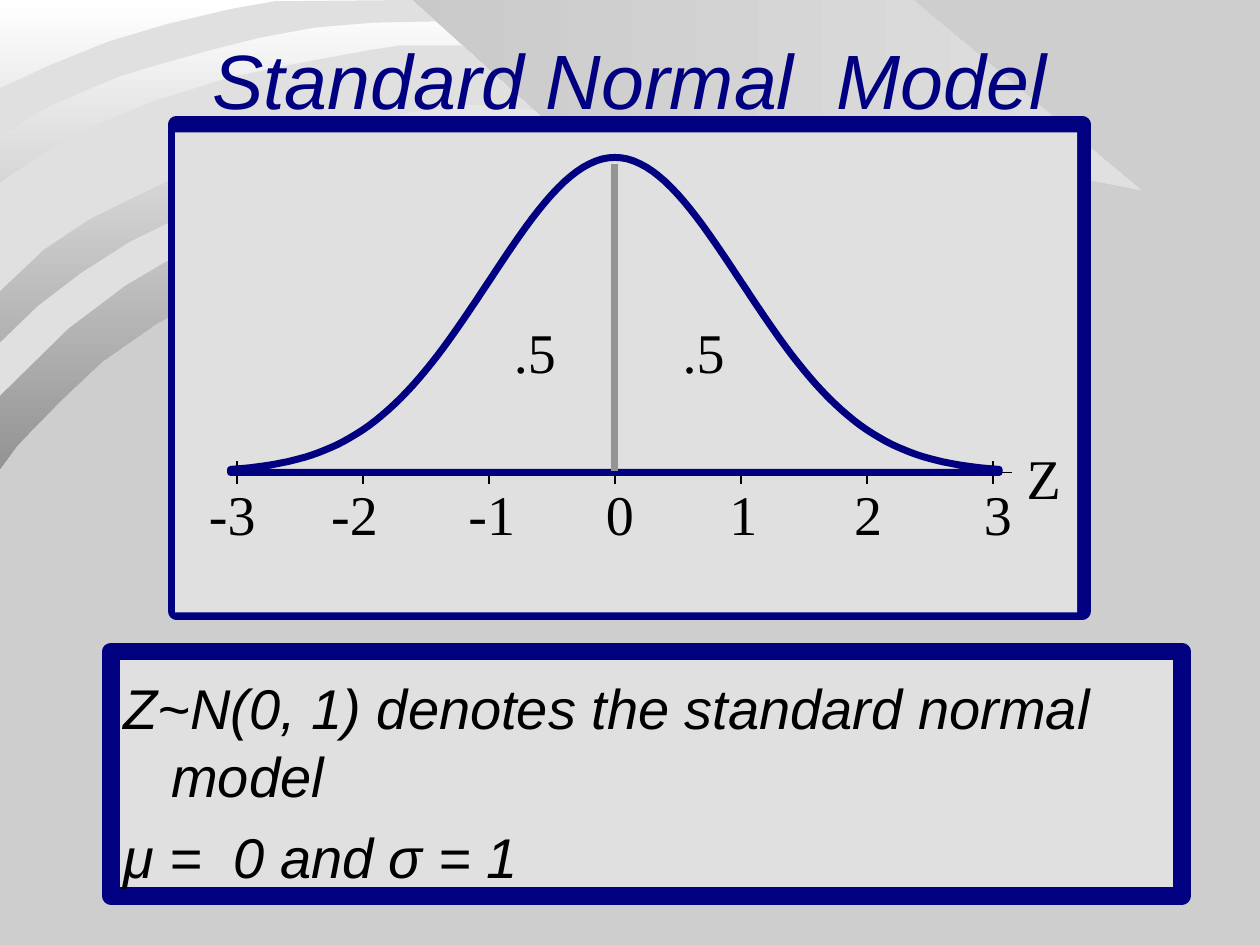
from math import exp

from lxml import etree
from pptx import Presentation
from pptx.dml.color import RGBColor
from pptx.enum.shapes import MSO_CONNECTOR, MSO_SHAPE
from pptx.enum.text import MSO_ANCHOR, MSO_AUTO_SIZE, PP_ALIGN
from pptx.oxml.ns import qn
from pptx.util import Inches, Pt

LEFT, CENTER = PP_ALIGN.LEFT, PP_ALIGN.CENTER
TOP, MIDDLE, BOTTOM = MSO_ANCHOR.TOP, MSO_ANCHOR.MIDDLE, MSO_ANCHOR.BOTTOM
RECTANGLE, STRAIGHT = MSO_SHAPE.RECTANGLE, MSO_CONNECTOR.STRAIGHT
NO_AUTOFIT = MSO_AUTO_SIZE.NONE

COLUMNS, ROWS = 100, 75
WIDTH, HEIGHT = Inches(10), Inches(7.5)
UNIT = WIDTH // COLUMNS

COLORS = {"page": "CECECE", "panel": "E0E0E0", "navy": "000080",
          "ink": "000000", "gray": "949494", "white": "FFFFFF",
          "beam": "C9C9C9"}

BEAM = [(37.1, 16.2), (35.7, 18.3), (35.6, 20.1), (36.4, 21.9),
        (38.5, 24.1), (41.4, 25.1), (44.1, 25.5), (47.7, 25.4),
        (50.9, 24.9), (54, 23.7), (56.9, 21.9), (59.8, 19.4),
        (62.3, 16.9), (66, 14.9), (70.7, 13.8), (76.2, 13.5),
        (81, 13.7), (86, 14.2), (90.6, 15.1), (72.5, 0), (29.8, 0)]
GLOW = [(0, 37.2), (1.4, 35.3), (4.8, 31.8), (8.1, 28.7), (12.4, 25.7),
        (18.5, 22.3), (26.7, 19.1), (34.7, 16.6), (39.7, 15.3),
        (44.4, 15.3), (48.1, 16.3), (50, 18), (49.4, 15.5),
        (47.6, 13.5), (32.7, 0), (0, 0)]
BANDS = [
    [(0, 7), (3.9, 5.2), (8.6, 3.3), (13.3, 1.9), (18.4, 0.7),
     (21.8, 0.1), (32.7, 0), (34.6, 1.7), (29.6, 1.8), (24.9, 2.2),
     (20.6, 3), (16.6, 4), (12.7, 5.1), (9.7, 6), (7, 7.1),
     (4, 8.4), (2.3, 9.3), (0, 10.9)],
    [(0, 14.5), (4.6, 11.4), (6.9, 10.2), (12.3, 8), (18.4, 6.1),
     (24.3, 4.9), (29.2, 4), (31.8, 3.6), (36.7, 3.6), (42.3, 8.7),
     (37.4, 8.3), (32.8, 8.9), (25.6, 10.3), (19, 12.2), (13.2, 14.4),
     (7.1, 17.4), (3.5, 19.8), (0, 23.1)],
    [(0, 27.2), (3, 24.3), (6.4, 21.7), (10.3, 19.2), (15.2, 16.8),
     (21.4, 14.4), (30.2, 12), (36.3, 10.9), (40.9, 10.4),
     (44.3, 10.5), (48.1, 13.8), (45.1, 12.6), (41, 12.6),
     (36.2, 13.2), (28.5, 14.9), (19.4, 17.9), (13.1, 20.8),
     (9.9, 22.7), (5.4, 26.1), (0, 31.4)],
]

TICK_LABELS = [("-3", 1.6, 5.7), ("-2", 11.3, 5.7), ("-1", 22.2, 5.7),
               ("0", 33.1, 4.2), ("1", 42.9, 4.2), ("2", 52.8, 4.2),
               ("3", 63.1, 4.2)]


def color(name):
    return RGBColor.from_string(COLORS[name])


def place(shape, box):
    shape.left, shape.top, shape.width, shape.height = (
        round(length * UNIT) for length in box)


def paint(shape, fill, line=None, weight=0):
    shape.fill.solid()
    shape.fill.fore_color.rgb = color(fill)
    if line:
        shape.line.color.rgb = color(line)
        shape.line.width = Pt(weight)
    else:
        shape.line.fill.background()


def write_text(shape, lines, size=32, font="Times New Roman", ink="ink",
               italic=False, align=LEFT, anchor=TOP, wrap=True,
               hanging=0, space=0):
    frame = shape.text_frame
    frame.auto_size = NO_AUTOFIT
    frame.word_wrap = wrap
    frame.vertical_anchor = anchor
    for index, line in enumerate(lines):
        para = frame.add_paragraph() if index else frame.paragraphs[0]
        properties = para._p.get_or_add_pPr()
        properties.set("marL", str(hanging))
        properties.set("indent", str(-hanging))
        etree.SubElement(properties, qn("a:buNone"))
        para.alignment = align
        para.space_before = Pt(space if index else 0)
        span = para.add_run()
        span.text = line
        span.font.size, span.font.name = Pt(size), font
        span.font.italic = italic
        span.font.color.rgb = color(ink)


def add_panel(page, box, *style):
    panel = page.shapes.add_shape(RECTANGLE, 0, 0, 0, 0)
    place(panel, box)
    panel.shadow.inherit = False
    paint(panel, *style)


def add_label(page, box, text, fill=None):
    label = page.shapes.add_textbox(0, 0, 0, 0)
    place(label, box)
    if fill:
        paint(label, fill)
    write_text(label, [text], wrap=False)


def add_line(page, start, end, ink, weight):
    line = page.shapes.add_connector(
        STRAIGHT, *(round(length * UNIT) for length in start + end))
    line.line.color.rgb = color(ink)
    line.line.width = Pt(weight)
    etree.SubElement(line._element.spPr, qn("a:effectLst"))


def add_outline(page, points):
    pen = [(x * 100, y * 100) for x, y in points]
    builder = page.shapes.build_freeform(*pen[0], scale=UNIT / 100)
    builder.add_line_segments(pen[1:], close=True)
    outline = builder.convert_to_shape()
    outline.shadow.inherit = False
    return outline


def draw_backdrop(page):
    page.background.fill.solid()
    page.background.fill.fore_color.rgb = color("page")
    for points, stops, angle in ((BEAM, ("beam", "panel"), 0),
                                 (GLOW, ("white", "gray"), 270)):
        sweep = add_outline(page, points)
        sweep.fill.gradient()
        sweep.fill.gradient_angle = angle
        for stop, name in zip(sweep.fill.gradient_stops, stops):
            stop.color.rgb = color(name)
        sweep.line.fill.background()
    for points in BANDS:
        paint(add_outline(page, points), "panel")


def draw_model(page, box):
    left, top, width, height = box
    middle, axis, peak, deviation = left + 34.8, top + 27.6, 25, 10
    add_panel(page, box, "panel", "navy", 10)
    add_panel(page, (left - 0.1, top + 0.6, width - 0.3, height - 0.5),
              "panel")
    add_label(page, (left + 66.5, top + 24.8, 4.7, 6.3), "Z", "panel")
    for text, offset, label_width in TICK_LABELS:
        add_label(page, (left + offset, axis + 0.1, label_width, 6.3),
                  text, "panel")
    add_line(page, (middle - 29.9, axis), (middle + 31.5, axis), "ink", 1)
    for score in range(-3, 4):
        tick = middle + score * deviation
        add_line(page, (tick, axis + 0.9), (tick, axis - 0.9), "ink", 1)
    scores = [step / 20 for step in range(-61, 62)]
    curve = [(middle + score * deviation,
              axis - peak * exp(-score ** 2 / 2)) for score in scores]
    ends = [(curve[-1][0], axis), (curve[0][0], axis)]
    paint(add_outline(page, curve + ends), "panel", "navy", 4)


def draw_halves(page, box):
    left, top = box[:2]
    add_line(page, (left + 34.8, top + 3.1), (left + 34.8, top + 27.5),
             "gray", 4)
    for offset in (39.2, 25.8):
        add_label(page, (left + offset, top + 14.8, 5.3, 6.3), ".5")


def fill_title(page, box):
    title = page.shapes.title
    page.shapes.element.append(title.element)
    place(title, box)
    write_text(title, ["Standard Normal  Model"], size=44, font="Arial",
               ink="navy", italic=True, align=CENTER, anchor=MIDDLE)


def fill_body(page, box):
    body = page.placeholders[1]
    page.shapes.element.append(body.element)
    place(body, box)
    paint(body, "panel", "navy", 10)
    write_text(body, ["Z~N(0, 1) denotes the standard normal model",
                      "μ =  0 and σ = 1"],
               font="Arial", italic=True, anchor=BOTTOM,
               hanging=Inches(0.38), space=8)


def main():
    deck = Presentation()
    deck.slide_width, deck.slide_height = WIDTH, HEIGHT
    page = deck.slides.add_slide(deck.slide_layouts[1])
    model_box = (14, 9.9, 71.9, 38.6)
    draw_backdrop(page)
    fill_body(page, (8.8, ROWS - 23.3, 85, 19.4))
    draw_model(page, model_box)
    fill_title(page, (7.5, 0, COLUMNS - 15, 12.5))
    draw_halves(page, model_box)
    deck.save("out.pptx")


if __name__ == "__main__":
    main()
